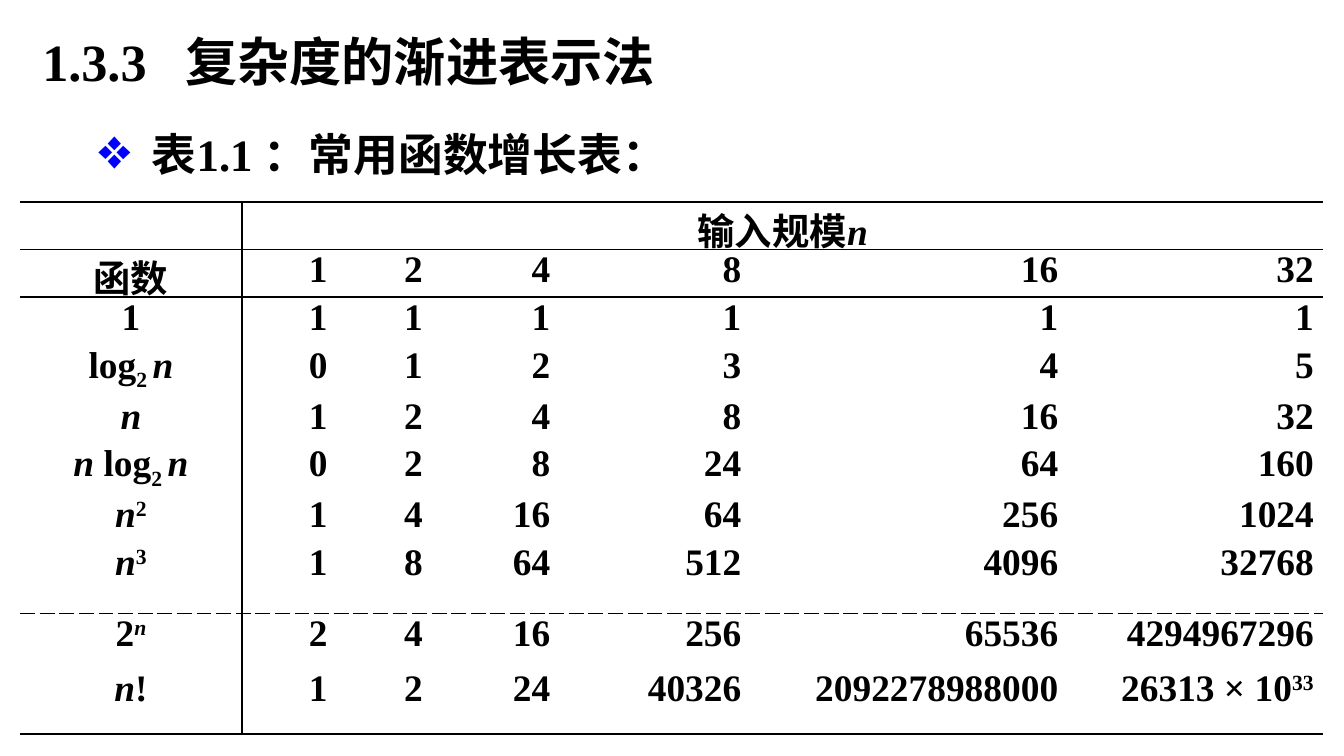
from dataclasses import dataclass

from lxml import etree
from pptx import Presentation
from pptx.dml.color import RGBColor
from pptx.enum.text import MSO_AUTO_SIZE, PP_ALIGN
from pptx.oxml.ns import qn
from pptx.util import Cm, Pt

CENTER, RIGHT = PP_ALIGN.CENTER, PP_ALIGN.RIGHT
GROW = MSO_AUTO_SIZE.SHAPE_TO_FIT_TEXT


@dataclass(frozen=True)
class Theme:
    font: str = "Times New Roman"
    ink: str = "000000"
    bullet: str = "0000FF"
    title_size: int = 28
    caption_size: int = 24
    table_size: int = 20
    rule_width: int = 1


THEME = Theme()
BASELINES = {"sub": "-25000", "sup": "30000"}

COLUMN_WIDTHS = (4.19, 1.8, 1.8, 2.41, 3.61, 5.99, 4.83)
ROW_HEIGHTS = (0.9,) * 7 + (1.35, 1.04, 1.24)
RULES_ABOVE_ROW = {0: "solid", 1: "solid", 2: "solid", 8: "dash", 10: "solid"}

N = ("n", "italic")
LOG_N = (("log",), ("2 ", "sub"), N)
INPUT_HEADING = (("输入规模",), N)
GROWTH_ROWS = (
    ((("函数",),), "1 2 4 8 16 32"),
    ((("1",),), "1 1 1 1 1 1"),
    (LOG_N, "0 1 2 3 4 5"),
    ((N,), "1 2 4 8 16 32"),
    ((N, (" log",)) + LOG_N[1:], "0 2 8 24 64 160"),
    ((N, ("2", "sup")), "1 4 16 64 256 1024"),
    ((N, ("3", "sup")), "1 8 64 512 4096 32768"),
    ((("2",), ("n", "italic", "sup")), "2 4 16 256 65536 4294967296"),
    ((N, ("!",)), "1 2 24 40326 2092278988000"),
)
LARGEST_FACTORIAL = (("26313 × 10",), ("33", "sup"))


def style_paragraph(para, size):
    font = para.font
    font.name = THEME.font
    font.size = Pt(size)
    font.bold = True
    font.color.rgb = RGBColor.from_string(THEME.ink)


def add_text(page, box, text, size):
    frame = page.shapes.add_textbox(*map(Cm, box)).text_frame
    frame.word_wrap = True
    frame.auto_size = GROW
    para = frame.paragraphs[0]
    para.add_run().text = text
    return frame, para, size


def add_title(page, box):
    frame, para, size = add_text(page, box, "1.3.3\t复杂度的渐进表示法", THEME.title_size)
    frame.margin_left = Cm(0.3)
    frame.margin_right = Cm(0.4)
    tabs = etree.SubElement(para._p.get_or_add_pPr(), qn("a:tabLst"))
    etree.SubElement(tabs, qn("a:tab"), pos=str(Cm(2.7)), algn="l")
    style_paragraph(para, size)


def add_caption(page, box):
    frame, para, size = add_text(page, box, "表1.1 ：常用函数增长表：", THEME.caption_size)
    frame.margin_right = 0
    properties = para._p.get_or_add_pPr()
    properties.set("marL", str(Cm(1.04)))
    properties.set("indent", str(-Cm(1.04)))
    color = etree.SubElement(properties, qn("a:buClr"))
    etree.SubElement(color, qn("a:srgbClr"), val=THEME.bullet)
    etree.SubElement(properties, qn("a:buFont"), typeface=THEME.font)
    etree.SubElement(properties, qn("a:buChar"), char="❖")
    style_paragraph(para, size)


def fill_cell(cell, spans, alignment):
    para = cell.text_frame.paragraphs[0]
    para.alignment = alignment
    style_paragraph(para, THEME.table_size)
    for text, *styles in spans:
        span = para.add_run()
        span.text = text
        for style in styles:
            if style == "italic":
                span.font.italic = True
            else:
                span._r.get_or_add_rPr().set("baseline", BASELINES[style])


def draw_border(cell, side, dash):
    line = etree.SubElement(cell._tc.get_or_add_tcPr(), qn(f"a:ln{side}"))
    if not dash:
        line.set("w", "0")
        etree.SubElement(line, qn("a:noFill"))
        return
    line.set("w", str(Pt(THEME.rule_width)))
    fill = etree.SubElement(line, qn("a:solidFill"))
    etree.SubElement(fill, qn("a:srgbClr"), val=THEME.ink)
    etree.SubElement(line, qn("a:prstDash"), val=dash)


def format_cell(cell, row, column):
    cell.margin_left = cell.margin_right = Cm(0.18)
    cell.margin_top = cell.margin_bottom = 0
    borders = {
        "L": "solid" if column == 1 else None,
        "R": "solid" if column == 0 else None,
        "T": RULES_ABOVE_ROW.get(row),
        "B": RULES_ABOVE_ROW.get(row + 1),
    }
    for side, dash in borders.items():
        draw_border(cell, side, dash)
    cell.fill.background()


def add_growth_table(page, box):
    rows, columns = len(ROW_HEIGHTS), len(COLUMN_WIDTHS)
    table = page.shapes.add_table(rows, columns, *map(Cm, box)).table
    table.first_row = table.horz_banding = False
    for column, width in zip(table.columns, COLUMN_WIDTHS):
        column.width = Cm(width)
    for row, height in zip(table.rows, ROW_HEIGHTS):
        row.height = Cm(height)
    for row in range(rows):
        for column in range(columns):
            format_cell(table.cell(row, column), row, column)

    table.cell(0, 1).merge(table.cell(0, columns - 1))
    fill_cell(table.cell(0, 0), (), CENTER)
    fill_cell(table.cell(0, 1), INPUT_HEADING, CENTER)
    for row, (label, values) in enumerate(GROWTH_ROWS, 1):
        fill_cell(table.cell(row, 0), label, CENTER)
        for column, value in enumerate(values.split(), 1):
            fill_cell(table.cell(row, column), ((value,),), RIGHT)
    fill_cell(table.cell(rows - 1, columns - 1), LARGEST_FACTORIAL, RIGHT)


def main():
    deck = Presentation()
    deck.slide_width, deck.slide_height = Cm(25.4), Cm(14.28)
    page = deck.slides.add_slide(deck.slide_layouts[6])
    add_caption(page, (1.58, 2.26, 11.3, 1.27))
    add_growth_table(page, (0.38, 3.81, sum(COLUMN_WIDTHS), sum(ROW_HEIGHTS)))
    add_title(page, (0.5, 0.43, 12.6, 1.45))
    deck.save("out.pptx")


if __name__ == "__main__":
    main()
